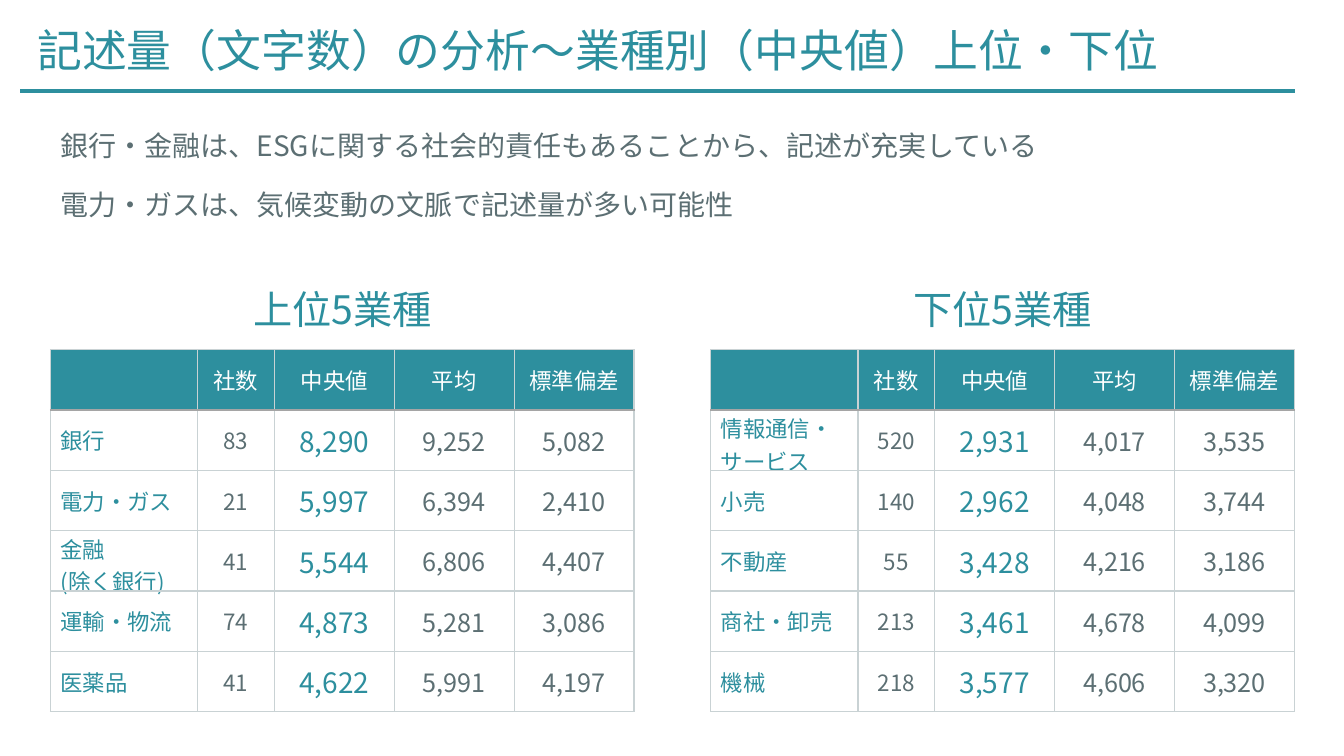
from lxml import etree
from pptx import Presentation
from pptx.dml.color import RGBColor
from pptx.enum.shapes import MSO_CONNECTOR
from pptx.enum.text import MSO_ANCHOR, MSO_AUTO_SIZE, PP_ALIGN
from pptx.oxml.ns import qn
from pptx.util import Inches, Pt

TEAL = RGBColor(0x2D, 0x8F, 0x9E)
SLATE = RGBColor(0x5C, 0x6F, 0x73)
WHITE = RGBColor(0xFF, 0xFF, 0xFF)
GRID = RGBColor(0xC9, 0xD2, 0xD4)
HEADER_RULE = RGBColor(0xA5, 0xA5, 0xA5)

LEFT, CENTER = PP_ALIGN.LEFT, PP_ALIGN.CENTER
TOP, MIDDLE = MSO_ANCHOR.TOP, MSO_ANCHOR.MIDDLE
GROW = MSO_AUTO_SIZE.SHAPE_TO_FIT_TEXT
STRAIGHT = MSO_CONNECTOR.STRAIGHT

FONT = "Noto Sans CJK JP"
TABLE_WIDTH = 5.79
TABLE_HEIGHT = 3.59
COLUMN_WIDTHS = [1.46, 0.76, 1.19, 1.19, 1.19]

TITLE = "記述量（文字数）の分析〜業種別（中央値）上位・下位"
FINDINGS = [
    "銀行・金融は、ESGに関する社会的責任もあることから、記述が充実している",
    "電力・ガスは、気候変動の文脈で記述量が多い可能性",
]
HEADER = ["", "社数", "中央値", "平均", "標準偏差"]
TOP_INDUSTRIES = [
    ["銀行", "83", "8,290", "9,252", "5,082"],
    ["電力・ガス", "21", "5,997", "6,394", "2,410"],
    ["金融\n(除く銀行)", "41", "5,544", "6,806", "4,407"],
    ["運輸・物流", "74", "4,873", "5,281", "3,086"],
    ["医薬品", "41", "4,622", "5,991", "4,197"],
]
BOTTOM_INDUSTRIES = [
    ["情報通信・サービス", "520", "2,931", "4,017", "3,535"],
    ["小売", "140", "2,962", "4,048", "3,744"],
    ["不動産", "55", "3,428", "4,216", "3,186"],
    ["商社・卸売", "213", "3,461", "4,678", "4,099"],
    ["機械", "218", "3,577", "4,606", "3,320"],
]
# Size, colour and alignment of each body column
COLUMN_STYLES = [
    (16, TEAL, LEFT),
    (16, SLATE, CENTER),
    (20, TEAL, CENTER),
    (18, SLATE, CENTER),
    (18, SLATE, CENTER),
]


def write_text(text_frame, text, size, color, alignment=LEFT):
    text_frame.text = text
    for paragraph in text_frame.paragraphs:
        paragraph.alignment = alignment
        font = paragraph.font
        font.name = FONT
        font.size = Pt(size)
        font.bold = False
        font.color.rgb = color
        defaults = paragraph._p.pPr.find(qn("a:defRPr"))
        east_asian = etree.SubElement(defaults, qn("a:ea"))
        east_asian.set("typeface", FONT)


def add_text(slide, box, text, size, color, alignment=LEFT):
    shape = slide.shapes.add_textbox(*map(Inches, box))
    text_frame = shape.text_frame
    text_frame.word_wrap = True
    text_frame.auto_size = GROW
    write_text(text_frame, text, size, color, alignment)
    return text_frame


def add_title(slide):
    title = slide.shapes.title
    title.left, title.top = Inches(0.27), Inches(0.18)
    title.width, title.height = Inches(11.71), Inches(0.64)
    text_frame = title.text_frame
    text_frame.vertical_anchor = TOP
    text_frame.auto_size = GROW
    write_text(text_frame, TITLE, 32, TEAL)


def add_title_rule(slide):
    y = Inches(0.9)
    rule = slide.shapes.add_connector(STRAIGHT, Inches(0.2), y, Inches(12.84), y)
    rule.line.color.rgb = TEAL
    rule.line.width = Pt(3)
    etree.SubElement(rule._element.spPr, qn("a:effectLst"))


def add_findings(slide):
    text_frame = add_text(
        slide, (0.5, 1.06, 11.76, 1.12), "\n".join(FINDINGS), 20, SLATE
    )
    for paragraph in text_frame.paragraphs:
        paragraph.line_spacing = 1.5
        paragraph.space_before = Pt(6)


def set_borders(cell, row):
    """Draw the grid, with a heavier rule between the header and the body."""
    heavy_side = {0: "lnB", 1: "lnT"}.get(row)
    properties = cell._tc.get_or_add_tcPr()
    for side in ("lnL", "lnR", "lnT", "lnB"):
        heavy = side == heavy_side
        width = Pt(2.25) if heavy else Pt(1)
        line = etree.SubElement(properties, qn(f"a:{side}"), w=str(width))
        fill = etree.SubElement(line, qn("a:solidFill"))
        color = HEADER_RULE if heavy else GRID
        etree.SubElement(fill, qn("a:srgbClr"), val=str(color))


def format_cell(cell, row, column, text):
    cell.vertical_anchor = MIDDLE
    set_borders(cell, row)
    if row == 0:
        cell.fill.solid()
        cell.fill.fore_color.rgb = TEAL
        write_text(cell.text_frame, text, 16, WHITE, CENTER)
    else:
        cell.fill.background()
        cell.margin_top = cell.margin_bottom = Inches(0.02)
        write_text(cell.text_frame, text, *COLUMN_STYLES[column])


def add_industry_table(slide, left, heading, industries):
    add_text(slide, (left, 2.78, TABLE_WIDTH, 0.57), heading, 28, TEAL, CENTER)
    rows = [HEADER] + industries
    table = slide.shapes.add_table(
        len(rows), len(HEADER), Inches(left), Inches(3.47),
        Inches(TABLE_WIDTH), Inches(TABLE_HEIGHT),
    ).table
    table.horz_banding = False
    for column, width in zip(table.columns, COLUMN_WIDTHS):
        column.width = Inches(width)
    for row, values in enumerate(rows):
        table.rows[row].height = Inches(TABLE_HEIGHT / len(rows))
        for column, value in enumerate(values):
            format_cell(table.cell(row, column), row, column, value)


def main():
    presentation = Presentation()
    presentation.slide_width = Inches(13.33)
    presentation.slide_height = Inches(7.5)
    title_only = presentation.slide_layouts.get_by_name("Title Only")
    slide = presentation.slides.add_slide(title_only)
    add_title(slide)
    add_title_rule(slide)
    add_findings(slide)
    add_industry_table(slide, 0.5, "上位5業種", TOP_INDUSTRIES)
    add_industry_table(slide, 7.05, "下位5業種", BOTTOM_INDUSTRIES)
    presentation.save("out.pptx")


if __name__ == "__main__":
    main()
